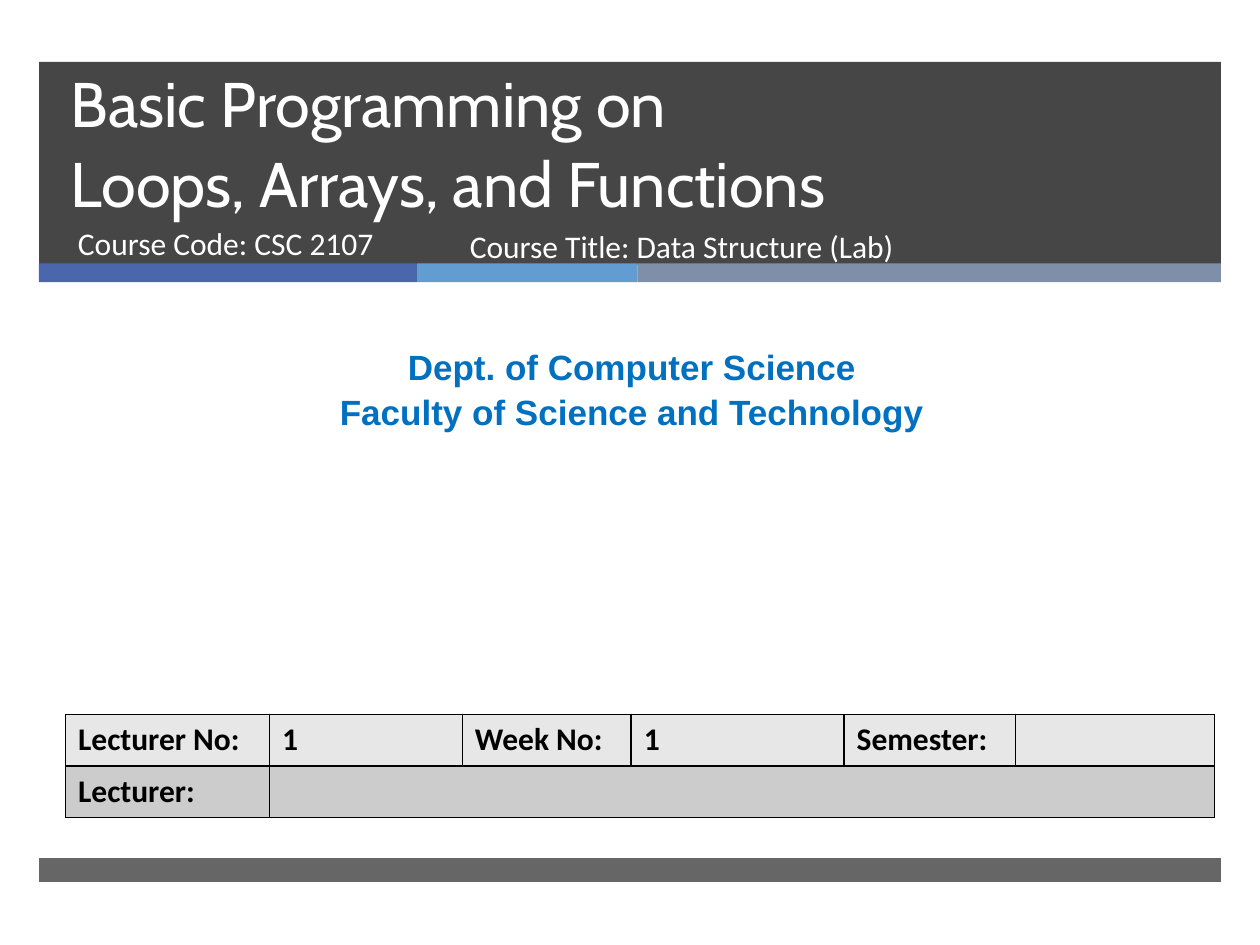
from itertools import accumulate

from lxml import etree
from pptx import Presentation
from pptx.dml.color import RGBColor
from pptx.enum.shapes import MSO_SHAPE
from pptx.enum.text import MSO_ANCHOR, MSO_AUTO_SIZE, PP_ALIGN
from pptx.oxml.ns import qn
from pptx.util import Inches, Pt

RECTANGLE = MSO_SHAPE.RECTANGLE
TOP, BOTTOM = MSO_ANCHOR.TOP, MSO_ANCHOR.BOTTOM
LEFT, CENTER = PP_ALIGN.LEFT, PP_ALIGN.CENTER

COLORS = {
    "dark": "262626", "blue": "4A66AC", "sky": "629DD1", "slate": "7F8FA9",
    "white": "FFFFFF", "black": "000000", "department": "0070C0",
    "row_light": "E7E7E7", "row_dark": "CCCCCC",
}
TITLE = "Basic Programming on\vLoops, Arrays, and Functions"
COURSE_DETAILS = [
    ("Course Code: CSC 2107", (0.52, 1.73, 3.05, 0.53)),
    ("Course Title: Data Structure (Lab)", (3.63, 1.75, 4.55, 0.53)),
]
DEPARTMENT = ["Dept. of Computer Science", "Faculty of Science and Technology"]
LECTURE_ROWS = [
    ("row_light", ["Lecturer No:", "1", "Week No:", "1", "Semester:", ""]),
    ("row_dark", ["Lecturer:", "", "", "", "", ""]),
]
COLUMN_WIDTHS = [1.62, 1.53, 1.34, 1.69, 1.36, 1.58]
ROW_HEIGHT = 0.41
BAND_LEFT, BAND_WIDTH = 0.31, 9.38
STRIPES = [("blue", 3), ("sky", 1.75), ("slate", 4.63)]


def color(name):
    return RGBColor.from_string(COLORS[name])


def write_text(frame, lines, *, font, size, fill, bold=False, align=LEFT,
               anchor=TOP, spacing=None):
    frame.word_wrap = True
    frame.vertical_anchor = anchor
    for index, line in enumerate(lines):
        paragraph = frame.paragraphs[0] if index == 0 else frame.add_paragraph()
        paragraph.text = line
        paragraph.alignment = align
        paragraph.line_spacing = spacing
        for run in paragraph.runs:
            run.font.name = font
            run.font.size = Pt(size)
            run.font.bold = bold
            run.font.color.rgb = color(fill)


def add_band(slide, box, fill, opacity=100):
    band = slide.shapes.add_shape(RECTANGLE, *map(Inches, box))
    band.shadow.inherit = False
    band.line.fill.background()
    band.fill.solid()
    band.fill.fore_color.rgb = color(fill)
    if opacity < 100:
        fill_color = band.fill._xPr.find(qn("a:solidFill"))[0]
        etree.SubElement(fill_color, qn("a:alpha"), val=str(opacity * 1000))


def add_borders(cell):
    properties = cell._tc.get_or_add_tcPr()
    for side in "LRTB":
        line = etree.SubElement(properties, qn(f"a:ln{side}"), w=str(Pt(1)))
        fill = etree.SubElement(line, qn("a:solidFill"))
        etree.SubElement(fill, qn("a:srgbClr"), val=COLORS["black"])


def add_lecture_table(slide):
    table = slide.shapes.add_table(
        len(LECTURE_ROWS), len(COLUMN_WIDTHS), Inches(0.52), Inches(5.67),
        Inches(sum(COLUMN_WIDTHS)), Inches(ROW_HEIGHT * len(LECTURE_ROWS))).table
    for column, width in zip(table.columns, COLUMN_WIDTHS):
        column.width = Inches(width)
    for row, (fill, texts) in enumerate(LECTURE_ROWS):
        for column, text in enumerate(texts):
            cell = table.cell(row, column)
            add_borders(cell)
            cell.fill.solid()
            cell.fill.fore_color.rgb = color(fill)
            if text:
                write_text(cell.text_frame, [text], font="Calibri", size=18,
                           fill="black", bold=True)
    table.cell(1, 1).merge(table.cell(1, 5))


def main():
    presentation = Presentation()
    presentation.slide_width, presentation.slide_height = Inches(10), Inches(7.5)
    slide = presentation.slides.add_slide(presentation.slide_layouts[5])

    add_band(slide, (BAND_LEFT, 0.49, BAND_WIDTH, 1.61), "dark", 85)
    stripe_lefts = accumulate((width for _, width in STRIPES), initial=BAND_LEFT)
    for (fill, width), left in zip(STRIPES, stripe_lefts):
        add_band(slide, (left, 2.09, width, 0.15), fill)
    add_band(slide, (BAND_LEFT, 6.81, BAND_WIDTH, 0.19), "dark", 70)

    title = slide.shapes.title
    title.left, title.top, title.width, title.height = map(
        Inches, (0.46, 0.61, 8.54, 1.19))
    title.text_frame.auto_size = MSO_AUTO_SIZE.NONE
    write_text(title.text_frame, [TITLE], font="Cabin", size=36, fill="white",
               anchor=BOTTOM, spacing=Pt(46))
    slide.shapes._spTree.append(title._element)

    for text, box in COURSE_DETAILS:
        detail = slide.shapes.add_textbox(*map(Inches, box))
        write_text(detail.text_frame, [text], font="Calibri", size=18, fill="white")

    department = slide.shapes.add_textbox(*map(Inches, (0.08, 2.68, 9.87, 0.77)))
    write_text(department.text_frame, DEPARTMENT, font="Arial", size=20,
               fill="department", bold=True, align=CENTER, spacing=1.05)

    add_lecture_table(slide)
    presentation.save("out.pptx")


if __name__ == "__main__":
    main()
